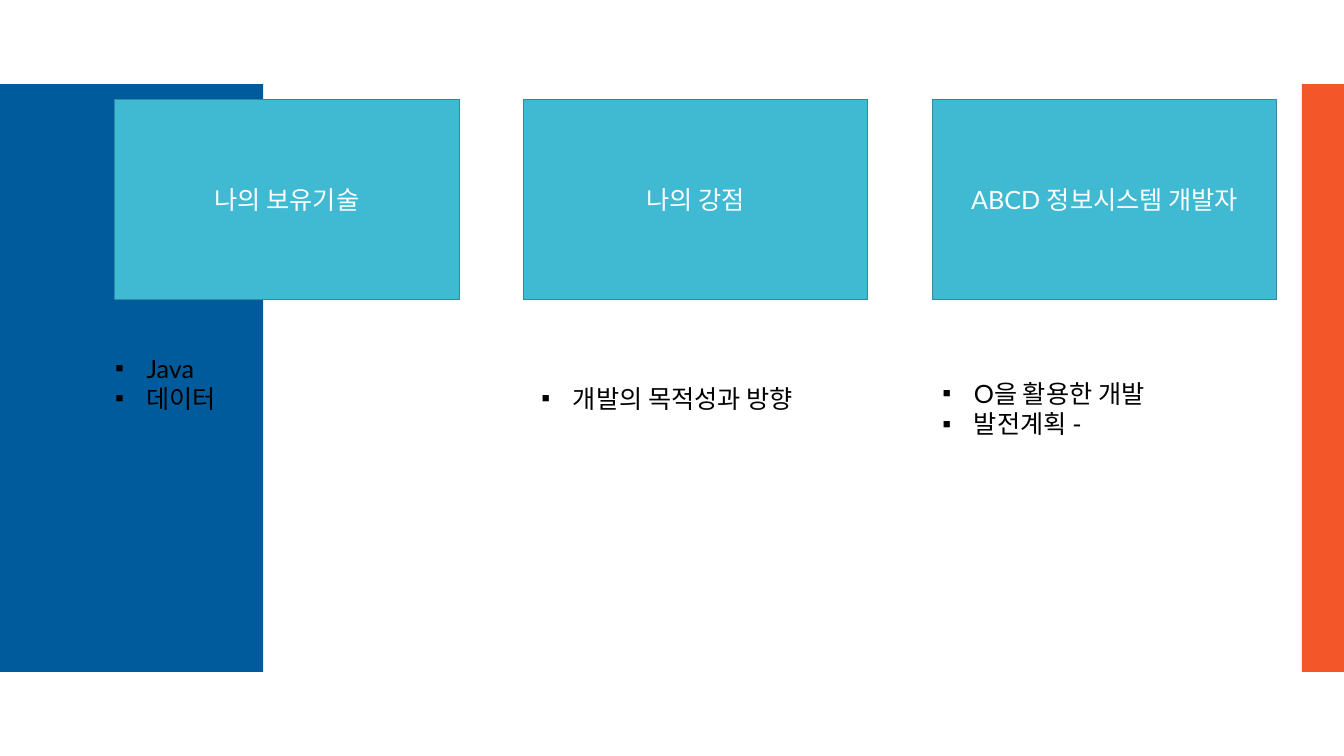
from lxml import etree
from pptx import Presentation
from pptx.dml.color import RGBColor
from pptx.enum.shapes import MSO_SHAPE
from pptx.enum.text import MSO_ANCHOR, MSO_AUTO_SIZE, PP_ALIGN
from pptx.oxml.ns import qn
from pptx.util import Pt

COLORS = {"navy": "005B9C", "orange": "F35629", "card": "40BAD2",
          "edge": "2F8A9B", "white": "FFFFFF", "black": "000000"}
FONT = "Lato"
COMPARISON_LAYOUT = 4
CARD_LEFT, CARD_PITCH = 82, 292
LIST_WIDTH, LINE_HEIGHT, LIST_INDENT = 253.4, 21.6, 22.5

# Card heading, list left, list top, list items
COLUMNS = [
    ("나의 보유기술", 75, 248.4, ["Java", "데이터 "]),
    ("나의 강점", 379.5, 270, ["개발의 목적성과 방향 "]),
    ("ABCD 정보시스템 개발자", 666, 266.4, ["O을 활용한 개발 ", "발전계획 - "]),
]


def color(name):
    """Return the palette colour of that name."""
    return RGBColor.from_string(COLORS[name])


def add_rect(slide, left, top, width, height, fill, edge=None):
    """Add a flat rectangle, with a thin edge if one is named."""
    rect = slide.shapes.add_shape(MSO_SHAPE.RECTANGLE, Pt(left), Pt(top),
                                  Pt(width), Pt(height))
    rect.shadow.inherit = False
    rect.fill.solid()
    rect.fill.fore_color.rgb = color(fill)
    if edge:
        rect.line.color.rgb = color(edge)
        rect.line.width = Pt(0.85)
    else:
        rect.line.fill.background()
    return rect


def add_run(paragraph, text, font_color):
    """Write text into a paragraph in the slide's font."""
    run = paragraph.add_run()
    run.text = text
    run.font.name = FONT
    run.font.size = Pt(18)
    run.font.bold = False
    run.font.color.rgb = color(font_color)


def add_card(slide, left, heading):
    """Add a heading card with centred text."""
    card = add_rect(slide, left, 71.3, 246, 142.6, "card", "edge")
    card.text_frame.word_wrap = True
    card.text_frame.vertical_anchor = MSO_ANCHOR.MIDDLE
    paragraph = card.text_frame.paragraphs[0]
    paragraph.alignment = PP_ALIGN.CENTER
    add_run(paragraph, heading, "white")


def set_bullet(paragraph):
    """Give a paragraph a small square bullet and a hanging indent."""
    props = paragraph._p.get_or_add_pPr()
    props.set("marL", str(Pt(LIST_INDENT)))
    props.set("indent", str(-Pt(LIST_INDENT)))
    etree.SubElement(props, qn("a:buFont")).set("typeface", "Arial")
    etree.SubElement(props, qn("a:buChar")).set("char", "▪")


def fill_list(body, left, top, items):
    """Move a body placeholder into place and fill it with bullets."""
    body.left, body.top = Pt(left), Pt(top)
    body.width = Pt(LIST_WIDTH)
    body.height = Pt(LINE_HEIGHT * len(items) + 7.2)
    frame = body.text_frame
    frame.word_wrap = True
    frame.vertical_anchor = MSO_ANCHOR.TOP
    frame.auto_size = MSO_AUTO_SIZE.SHAPE_TO_FIT_TEXT
    for number, item in enumerate(items):
        paragraph = frame.add_paragraph() if number else frame.paragraphs[0]
        paragraph.alignment = PP_ALIGN.LEFT
        paragraph.space_before = Pt(0)
        set_bullet(paragraph)
        add_run(paragraph, item, "black")


def main():
    """Build the slide and save it."""
    deck = Presentation()
    deck.slide_width, deck.slide_height = Pt(960), Pt(540)
    slide = deck.slides.add_slide(deck.slide_layouts[COMPARISON_LAYOUT])
    title, *bodies = list(slide.placeholders)

    add_rect(slide, 0, 60, 188, 420, "navy")
    add_rect(slide, 930, 60, 30, 420, "orange")
    for index, (heading, left, top, items) in enumerate(COLUMNS):
        add_card(slide, CARD_LEFT + index * CARD_PITCH, heading)
        body = bodies[index]
        fill_list(body, left, top, items)
        slide.shapes._spTree.append(body._element)  # bring to the front

    for unused in [title, *bodies[len(COLUMNS):]]:
        slide.shapes._spTree.remove(unused._element)
    deck.save("out.pptx")


main()
